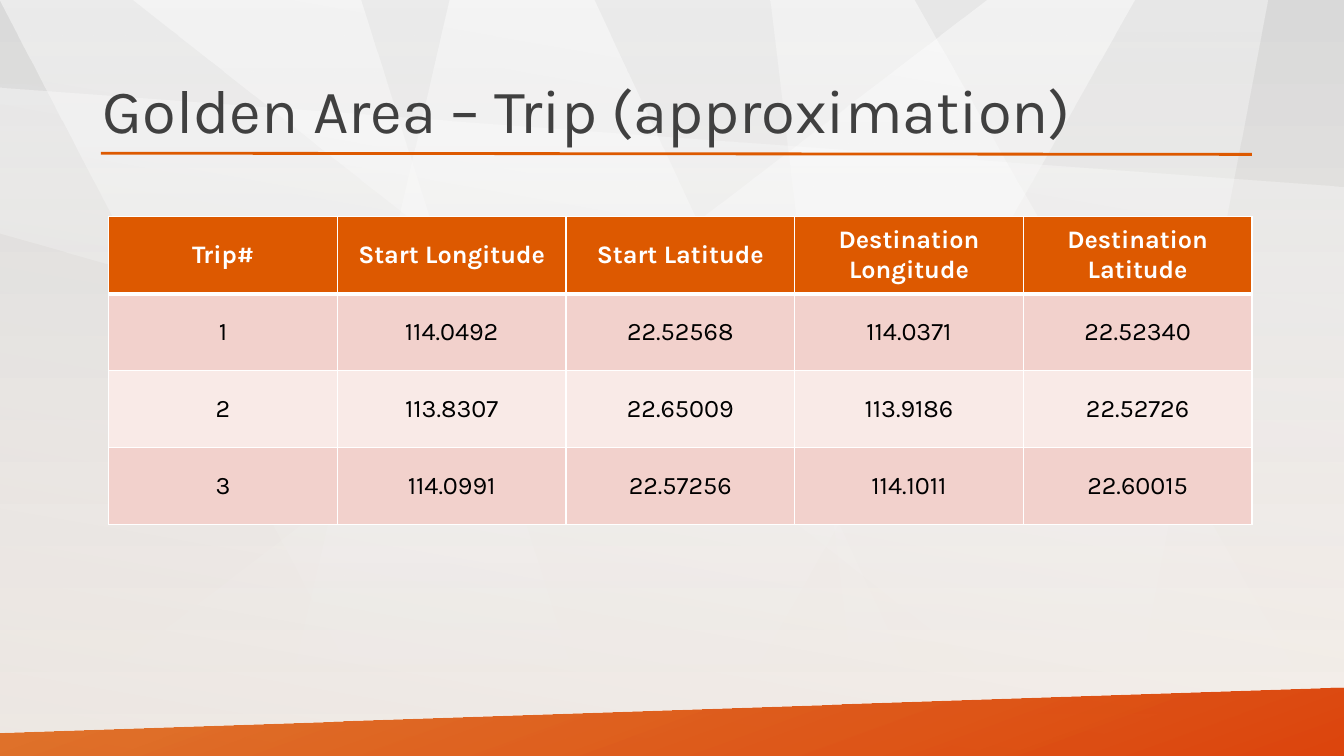
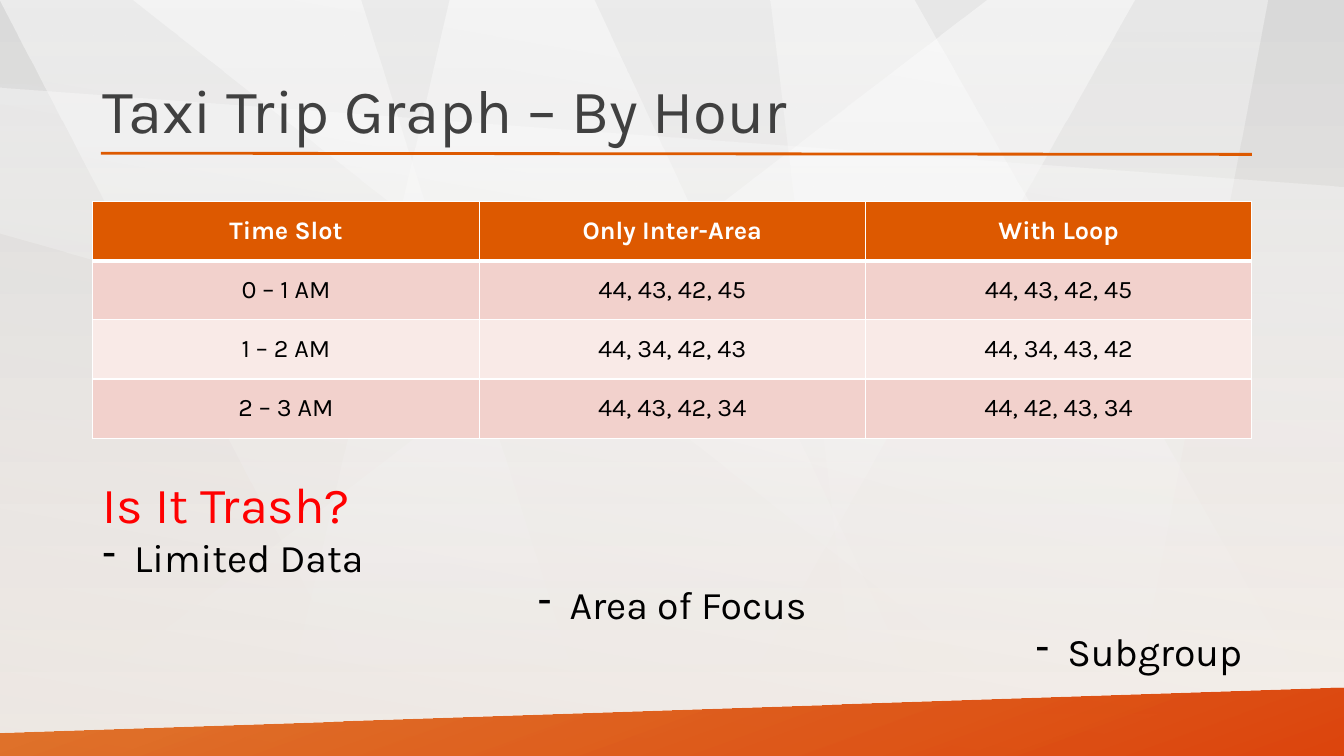
from dataclasses import dataclass

import lxml.etree
import pptx
import pptx.dml.color
import pptx.enum.shapes
import pptx.enum.text
import pptx.oxml.ns
import pptx.util

Cm = pptx.util.Cm
Pt = pptx.util.Pt
qn = pptx.oxml.ns.qn
ALIGN = pptx.enum.text.PP_ALIGN
MIDDLE = pptx.enum.text.MSO_ANCHOR.MIDDLE


@dataclass(frozen=True)
class Theme:
    font: str = "Karla"
    accent: str = "DD5900"
    accent_deep: str = "DC3C00"
    title: str = "404040"
    text: str = "000000"
    alert: str = "FF0000"
    white: str = "FFFFFF"
    sky: str = "D9D9D9"
    ground: str = "FCF5EF"
    shade: str = "BFBFBF"
    row_bands: tuple = ("F2D1CC", "F9EAE7")
    title_size: int = 44
    question_size: int = 36
    point_size: int = 28
    table_size: int = 18


THEME = Theme()

# All lengths are in centimetres.
WIDTH, HEIGHT = 33.87, 19.05
MARGIN, CONTENT_WIDTH = 2.34, 29.21
CONTENT_RIGHT = MARGIN + CONTENT_WIDTH

# Each light facet: opacity at its top, then its corners.
FACETS = [
    (50, [(24.87, 0), (0, HEIGHT), (17.81, HEIGHT), (28.58, 0)]),
    (50, [(0, 0), (9.09, 0), (15.09, HEIGHT), (9.93, HEIGHT)]),
    (50, [(3.35, 0), (23.04, 0), (WIDTH, HEIGHT), (27.51, HEIGHT)]),
    (40, [(19.43, 0), (21.74, HEIGHT), (28.32, HEIGHT), (31.93, 0)]),
    (50, [(14.96, 0), (11.33, 0), (6.91, HEIGHT), (23.85, HEIGHT)]),
    (40, [(0, 2.21), (WIDTH, 4.72), (WIDTH, 15.49), (0, 5.89)]),
]
FOOTER = [(0, 18.47), (WIDTH, 17.32), (WIDTH, HEIGHT), (0, HEIGHT)]


def rgb(value):
    return pptx.dml.color.RGBColor.from_string(value)


def set_font(paragraph, size, color, bold=False):
    font = paragraph.font
    font.name, font.size, font.bold = THEME.font, Pt(size), bold
    font.color.rgb = rgb(color)


def set_gradient(owner, fill, angle, stops):
    """Fill with two (colour, opacity percent) stops; the angle runs clockwise."""
    fill.gradient()
    fill.gradient_angle = (360 - angle) % 360
    for stop, (color, _) in zip(fill.gradient_stops, stops):
        stop.color.rgb = rgb(color)
    gradient = next(owner.element.iter(qn("a:gradFill")))
    for color_node, (_, opacity) in zip(gradient.iter(qn("a:srgbClr")), stops):
        lxml.etree.SubElement(color_node, qn("a:alpha"), val=str(opacity * 1000))


def paint(shape, angle, stops):
    set_gradient(shape, shape.fill, angle, stops)
    shape.line.fill.background()
    shape.shadow.inherit = False


def add_polygon(slide, corners, angle, stops):
    points = [(Cm(x), Cm(y)) for x, y in corners]
    builder = slide.shapes.build_freeform(*points[0])
    builder.add_line_segments(points[1:], close=True)
    paint(builder.convert_to_shape(), angle, stops)


def add_backdrop(slide):
    set_gradient(slide, slide.background.fill, 90,
                 [(THEME.sky, 50), (THEME.ground, 100)])
    for opacity, corners in FACETS:
        add_polygon(slide, corners, 90, [(THEME.white, opacity), (THEME.white, 0)])
    shade = slide.shapes.add_shape(
        pptx.enum.shapes.MSO_SHAPE.RECTANGLE, 0, 0, Cm(WIDTH), Cm(HEIGHT))
    paint(shade, 280, [(THEME.shade, 25), (THEME.white, 0)])
    add_polygon(slide, FOOTER, 70, [(THEME.accent, 80), (THEME.accent_deep, 95)])


def add_text_frame(slide, top, height):
    box = slide.shapes.add_textbox(
        Cm(MARGIN), Cm(top), Cm(CONTENT_WIDTH), Cm(height))
    box.text_frame.word_wrap = True
    return box.text_frame


def add_title(slide, title):
    frame = add_text_frame(slide, 1.02, 3.68)
    frame.vertical_anchor = MIDDLE
    heading = frame.paragraphs[0]
    heading.text = title
    heading.line_spacing = 0.9
    set_font(heading, THEME.title_size, THEME.title)

    rule = slide.shapes.add_connector(
        pptx.enum.shapes.MSO_CONNECTOR.STRAIGHT,
        Cm(2.54), Cm(3.86), Cm(CONTENT_RIGHT), Cm(3.89))
    rule.line.color.rgb = rgb(THEME.accent)
    rule.line.width = Pt(2)
    lxml.etree.SubElement(rule.element.spPr, qn("a:effectLst"))


def add_slide(deck, title):
    slide = deck.slides.add_slide(deck.slide_layouts[6])
    add_backdrop(slide)
    add_title(slide, title)
    return slide


def set_borders(cell, top, bottom):
    properties = cell._tc.get_or_add_tcPr()
    for side, points in (("L", 1), ("R", 1), ("T", top), ("B", bottom)):
        border = lxml.etree.SubElement(
            properties, qn(f"a:ln{side}"), w=str(Pt(points)))
        solid = lxml.etree.SubElement(border, qn("a:solidFill"))
        lxml.etree.SubElement(solid, qn("a:srgbClr"), val=THEME.white)


def format_cell(cell, row):
    is_header = row == 0
    set_borders(cell, top=3 if row == 1 else 1, bottom=3 if is_header else 1)
    cell.fill.solid()
    cell.fill.fore_color.rgb = rgb(
        THEME.accent if is_header else THEME.row_bands[(row - 1) % 2])
    cell.vertical_anchor = MIDDLE
    paragraph = cell.text_frame.paragraphs[0]
    paragraph.alignment = ALIGN.CENTER
    set_font(paragraph, THEME.table_size,
             THEME.white if is_header else THEME.text, is_header)


def add_data_table(slide, left, top, row_height, rows):
    """Add equal columns from left to the content's right edge."""
    width = CONTENT_RIGHT - left
    columns = len(rows[0])
    table = slide.shapes.add_table(
        len(rows), columns, Cm(left), Cm(top),
        Cm(width), Cm(row_height * len(rows))).table
    table.horz_banding = False
    for column in table.columns:
        column.width = Cm(width / columns)
    for row, values in enumerate(rows):
        table.rows[row].height = Cm(row_height)
        for column, value in enumerate(values):
            cell = table.cell(row, column)
            cell.text = value
            format_cell(cell, row)


def add_dash(paragraph):
    properties = paragraph._p.get_or_add_pPr()
    indent = Cm(0.79)
    properties.set("marL", str(indent))
    properties.set("indent", str(-indent))
    lxml.etree.SubElement(properties, qn("a:buChar"), char="-")


def add_discussion(slide, question, points):
    frame = add_text_frame(slide, 11.79, 6.93)
    frame.auto_size = pptx.enum.text.MSO_AUTO_SIZE.SHAPE_TO_FIT_TEXT
    heading = frame.paragraphs[0]
    heading.text = question
    set_font(heading, THEME.question_size, THEME.alert)
    for text, alignment in points:
        point = frame.add_paragraph()
        point.text = text
        point.alignment = alignment
        add_dash(point)
        set_font(point, THEME.point_size, THEME.text)


def main():
    deck = pptx.Presentation()
    deck.slide_width, deck.slide_height = Cm(WIDTH), Cm(HEIGHT)

    trips = add_slide(deck, "Golden Area – Trip (approximation)")
    add_data_table(trips, left=2.74, top=5.46, row_height=1.94, rows=[
        ("Trip#", "Start Longitude", "Start Latitude",
         "Destination Longitude", "Destination Latitude"),
        ("1", "114.0492", "22.52568", "114.0371", "22.52340"),
        ("2", "113.8307", "22.65009", "113.9186", "22.52726"),
        ("3", "114.0991", "22.57256", "114.1011", "22.60015"),
    ])

    hours = add_slide(deck, "Taxi Trip Graph – By Hour")
    add_data_table(hours, left=MARGIN, top=5.08, row_height=1.49, rows=[
        ("Time Slot", "Only Inter-Area", "With Loop"),
        ("0 – 1 AM", "44, 43, 42, 45", "44, 43, 42, 45"),
        ("1 – 2 AM", "44, 34, 42, 43", "44, 34, 43, 42"),
        ("2 – 3 AM", "44, 43, 42, 34", "44, 42, 43, 34"),
    ])
    add_discussion(hours, "Is It Trash?", [
        ("Limited Data", ALIGN.LEFT),
        ("Area of Focus", ALIGN.CENTER),
        ("Subgroup", ALIGN.RIGHT),
    ])

    deck.save("out.pptx")


if __name__ == "__main__":
    main()
